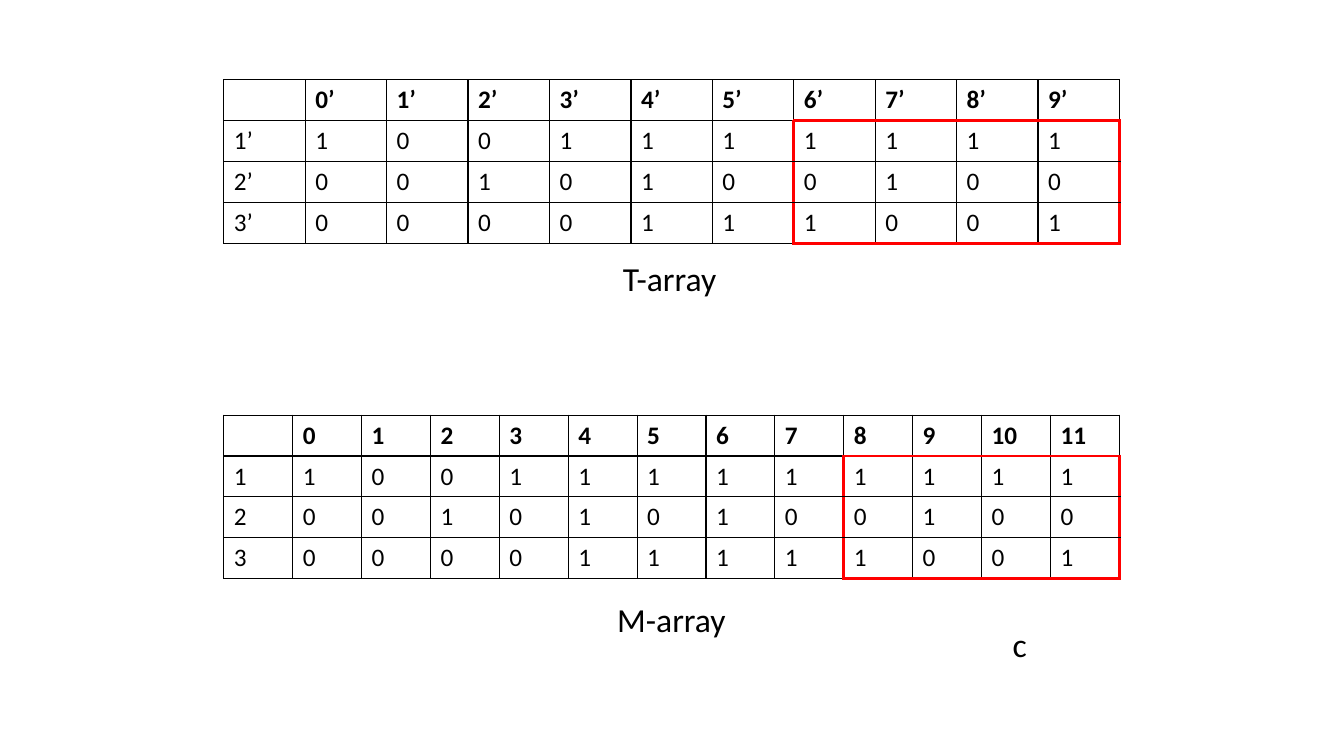
from lxml.etree import SubElement
from pptx import Presentation
from pptx.dml.color import RGBColor
from pptx.enum.text import MSO_AUTO_SIZE
from pptx.oxml.ns import qn
from pptx.util import Cm, Pt

COLORS = {"text": "000000", "grid": "000000", "frame": "FF0000"}
FONT = "Calibri"
FRAMED_COLUMNS = 4
ROW_HEIGHT = 1.03
SLIDE_WIDTH = 33.87
TABLE_LEFT, TABLE_WIDTH = 5.64, 22.58
SIDES = {"lnL": (0, -1), "lnR": (0, 1), "lnT": (-1, 0), "lnB": (1, 0)}

T_ROWS = ["1001111111", "0010100100", "0000111001"]
M_ROWS = ["100111111111", "001010100100", "000011111001"]


def format_text(text_frame, size, bold=False):
    for para in text_frame.paragraphs:
        for span in para.runs:
            span.font.name = FONT
            span.font.size = Pt(size)
            span.font.bold = bold
            span.font.color.rgb = RGBColor.from_string(COLORS["text"])


def draw_border(cell, side, color, width):
    line = SubElement(cell._tc.get_or_add_tcPr(), qn(f"a:{side}"), w=str(Pt(width)))
    fill = SubElement(line, qn("a:solidFill"))
    SubElement(fill, qn("a:srgbClr"), val=color)


def add_array(slide, left, top, width, rows, mark=""):
    """Add a bit table with numbered rows and columns and a frame round its last columns."""
    header = [""] + [f"{number}{mark}" for number in range(len(rows[0]))]
    body = [[f"{number}{mark}", *bits] for number, bits in enumerate(rows, 1)]
    grid = [header] + body
    row_count, column_count = len(grid), len(header)
    table = slide.shapes.add_table(row_count, column_count, Cm(left), Cm(top),
                                   Cm(width), Cm(ROW_HEIGHT * row_count)).table
    table.first_row = False
    table.horz_banding = False
    for column in table.columns:
        column.width = Cm(width / column_count)
    for row in table.rows:
        row.height = Cm(ROW_HEIGHT)

    def is_framed(row, column):
        return 1 <= row < row_count and column_count - FRAMED_COLUMNS <= column < column_count

    for row, values in enumerate(grid):
        for column, value in enumerate(values):
            cell = table.cell(row, column)
            cell.text_frame.text = value
            format_text(cell.text_frame, 18, bold=row == 0)
            for side, (down, right) in SIDES.items():
                if is_framed(row, column) != is_framed(row + down, column + right):
                    draw_border(cell, side, COLORS["frame"], 2.25)
                else:
                    draw_border(cell, side, COLORS["grid"], 1)
            cell.fill.background()


def add_label(slide, text, left, top, width):
    box = slide.shapes.add_textbox(Cm(left), Cm(top), Cm(width), Cm(1.28))
    box.text_frame.word_wrap = False
    box.text_frame.auto_size = MSO_AUTO_SIZE.SHAPE_TO_FIT_TEXT
    box.text_frame.text = text
    format_text(box.text_frame, 24)


def add_captioned_array(slide, top, rows, mark, caption, caption_top, caption_width):
    add_array(slide, TABLE_LEFT, top, TABLE_WIDTH, rows, mark)
    caption_left = TABLE_LEFT + (TABLE_WIDTH - caption_width) / 2
    add_label(slide, caption, caption_left, top + caption_top, caption_width)


def main():
    deck = Presentation()
    deck.slide_width, deck.slide_height = Cm(SLIDE_WIDTH), Cm(19.05)
    slide = deck.slides.add_slide(deck.slide_layouts[6])
    add_captioned_array(slide, 2.01, T_ROWS, "’", "T-array", 4.37, 2.97)
    add_captioned_array(slide, 10.46, M_ROWS, "", "M-array", 4.5, 3.25)
    add_label(slide, "c", 25.27, 15.6, 0.81)
    deck.save("out.pptx")


if __name__ == "__main__":
    main()
